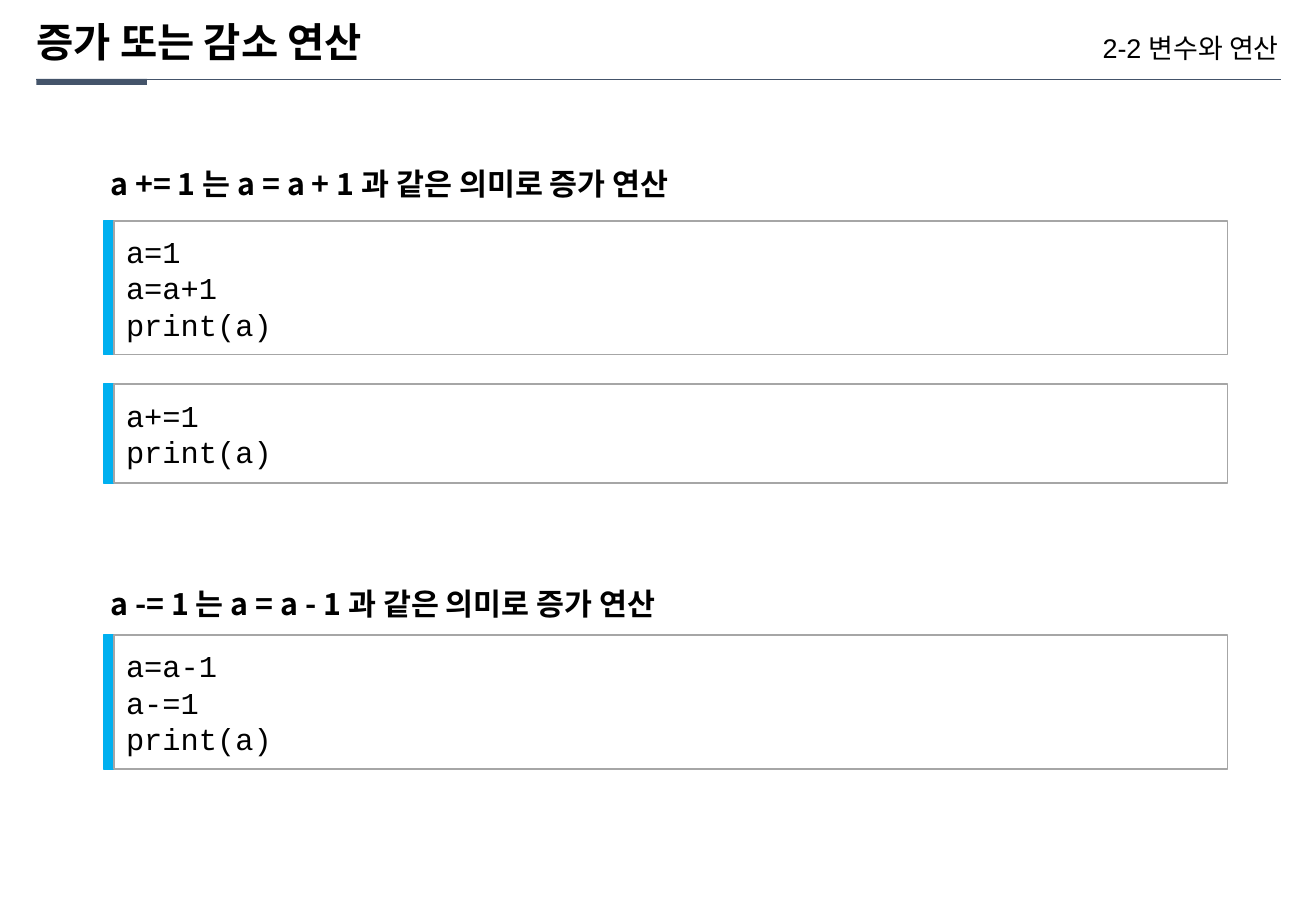
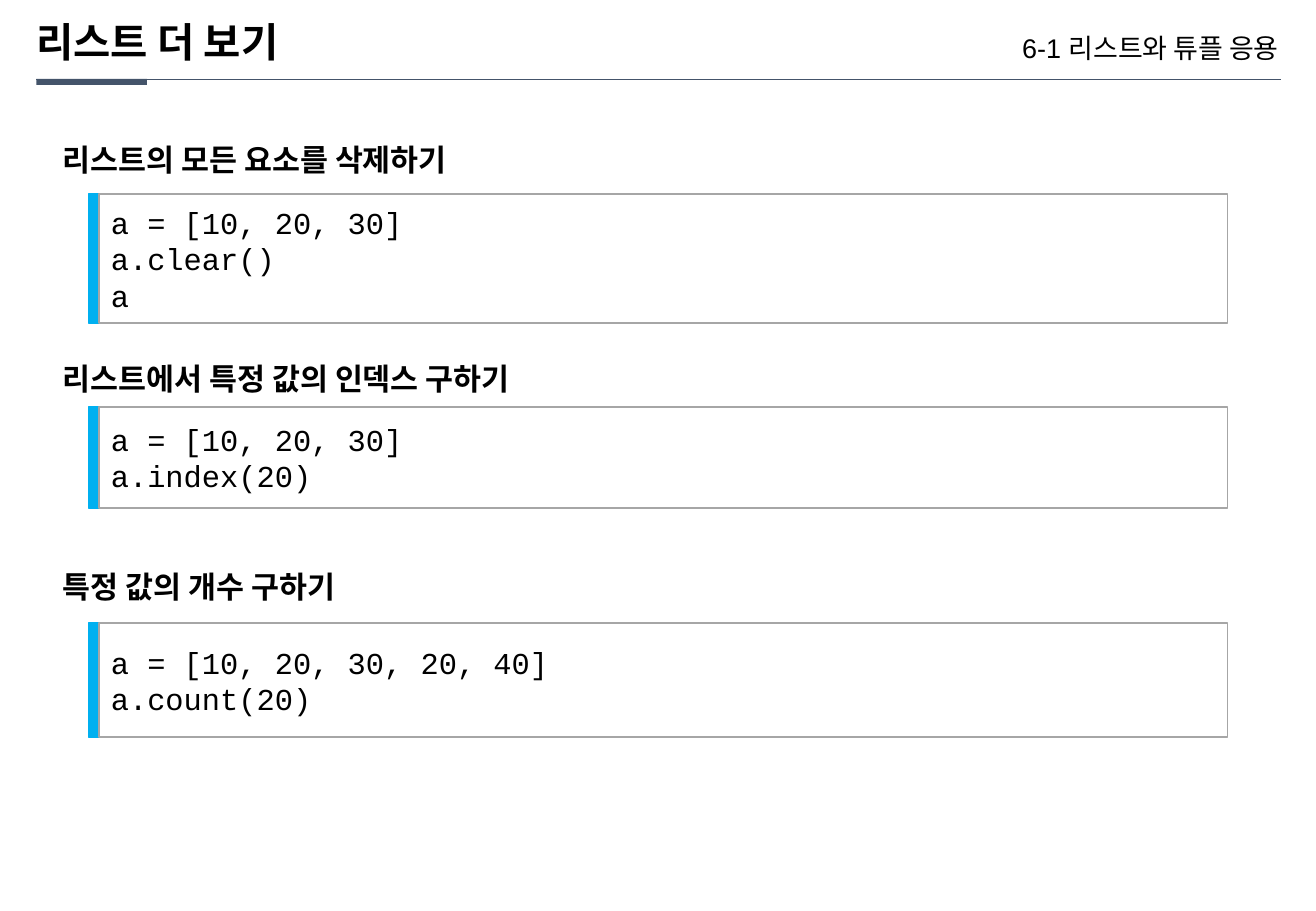
from lxml import etree
from pptx import Presentation
from pptx.dml.color import RGBColor
from pptx.enum.shapes import MSO_CONNECTOR, MSO_SHAPE
from pptx.enum.text import MSO_ANCHOR, PP_ALIGN
from pptx.oxml.ns import qn
from pptx.util import Pt

BLACK = RGBColor(0x00, 0x00, 0x00)
WHITE = RGBColor(0xFF, 0xFF, 0xFF)
SLATE = RGBColor(0x44, 0x54, 0x6A)
CYAN = RGBColor(0x00, 0xB0, 0xF0)
GRAY = RGBColor(0xA6, 0xA6, 0xA6)

RECT, STRAIGHT = MSO_SHAPE.RECTANGLE, MSO_CONNECTOR.STRAIGHT
TOP, MIDDLE = MSO_ANCHOR.TOP, MSO_ANCHOR.MIDDLE
LEFT, RIGHT = PP_ALIGN.LEFT, PP_ALIGN.RIGHT

SANS, MONO, KOREAN = "Arial", "Courier New", "Noto Sans CJK KR"
MARGIN, RULE_Y, RULE_END = 21.6, 46.8, 759
CODE_RIGHT = 727.6


class Deck:
    def __init__(self):
        self.prs = Presentation()
        self.prs.slide_width, self.prs.slide_height = Pt(780), Pt(540)
        self.slide = None

    def text(self, sp, lines, size, font, bold=False, align=LEFT,
             anchor=TOP, inset=None, spacing=None):
        tf = sp.text_frame
        tf.word_wrap = True
        tf.vertical_anchor = anchor
        if inset is not None:
            tf.margin_left = tf.margin_right = Pt(inset)
            tf.margin_top = tf.margin_bottom = Pt(inset)
        for i, line in enumerate(lines):
            p = tf.add_paragraph() if i else tf.paragraphs[0]
            p.alignment = align
            if spacing:
                p.line_spacing = spacing
            r = p.add_run()
            r.text = line
            r.font.size, r.font.bold = Pt(size), bold
            r.font.color.rgb = BLACK
            r.font.name = font
            ea = etree.SubElement(r.font._element, qn("a:ea"))
            ea.set("typeface", KOREAN)

    def rect(self, shapes, x, y, w, h, fill, line=None):
        sp = shapes.add_shape(RECT, Pt(x), Pt(y), Pt(w), Pt(h))
        sp.shadow.inherit = False
        sp.fill.solid()
        sp.fill.fore_color.rgb = fill
        if line is None:
            sp.line.fill.background()
        else:
            sp.line.color.rgb = line
            sp.line.width = Pt(1)
        return sp

    def box(self, x, y, w, h):
        return self.slide.shapes.add_textbox(Pt(x), Pt(y), Pt(w), Pt(h))

    def rule(self):
        cx = self.slide.shapes.add_connector(
            STRAIGHT, Pt(MARGIN), Pt(RULE_Y), Pt(RULE_END), Pt(RULE_Y))
        cx.line.color.rgb = SLATE
        cx.line.width = Pt(0.25)
        etree.SubElement(cx._element.spPr, qn("a:effectLst"))

    def new_slide(self, title, unit):
        self.slide = self.prs.slides.add_slide(self.prs.slide_layouts[5])
        self.rule()
        self.rect(self.slide.shapes, MARGIN, RULE_Y, 65.5, 3.6, SLATE)
        sp = self.slide.shapes.title
        sp.left, sp.top, sp.width, sp.height = Pt(MARGIN), Pt(13), Pt(441.4), Pt(26)
        self.text(sp, [title], 24, SANS, bold=True, anchor=MIDDLE,
                  inset=0, spacing=0.9)
        self.text(self.box(498, 21, 260, 17), [unit], 16, SANS, align=RIGHT,
                  anchor=MIDDLE, inset=0, spacing=0.9)

    def heading(self, x, y, w, text, font=SANS):
        self.text(self.box(x, y, w, 29), [text], 18, font, bold=True)

    def code(self, x, y, h, lines):
        shapes = self.slide.shapes.add_group_shape().shapes
        bar = 6.2
        self.rect(shapes, x, y, bar, h, CYAN, CYAN)
        left = x + bar
        sp = self.rect(shapes, left, y, CODE_RIGHT - left, h, WHITE, GRAY)
        self.text(sp, lines, 18, MONO, anchor=MIDDLE)


def main():
    deck = Deck()

    deck.new_slide("증가 또는 감소 연산", "2-2 변수와 연산")
    for y, text in ((94.3, "a += 1 는 a = a + 1 과 같은 의미로 증가 연산"),
                    (343.4, "a -= 1 는 a = a - 1 과 같은 의미로 증가 연산")):
        deck.heading(58.3, y, 448, text, KOREAN)
    for y, h, lines in ((131, 79.2, ["a=1", "a=a+1", "print(a)"]),
                        (227.5, 59, ["a+=1", "print(a)"]),
                        (376.5, 79.2, ["a=a-1", "a-=1", "print(a)"])):
        deck.code(61.4, y, h, lines)

    deck.new_slide("리스트 더 보기", "6-1 리스트와 튜플 응용")
    for heading_y, text, y, h, lines in (
            (80, "리스트의 모든 요소를 삭제하기", 115.2, 76.3,
             ["a = [10, 20, 30]", "a.clear()", "a"]),
            (210.2, "리스트에서 특정 값의 인덱스 구하기", 241.2, 59.8,
             ["a = [10, 20, 30]", "a.index(20)"]),
            (333.4, "특정 값의 개수 구하기", 369.4, 67.7,
             ["a = [10, 20, 30, 20, 40]", "a.count(20)"])):
        deck.heading(30.2, heading_y, 620.6, text)
        deck.code(52.4, y, h, lines)

    deck.prs.save("out.pptx")


if __name__ == "__main__":
    main()
